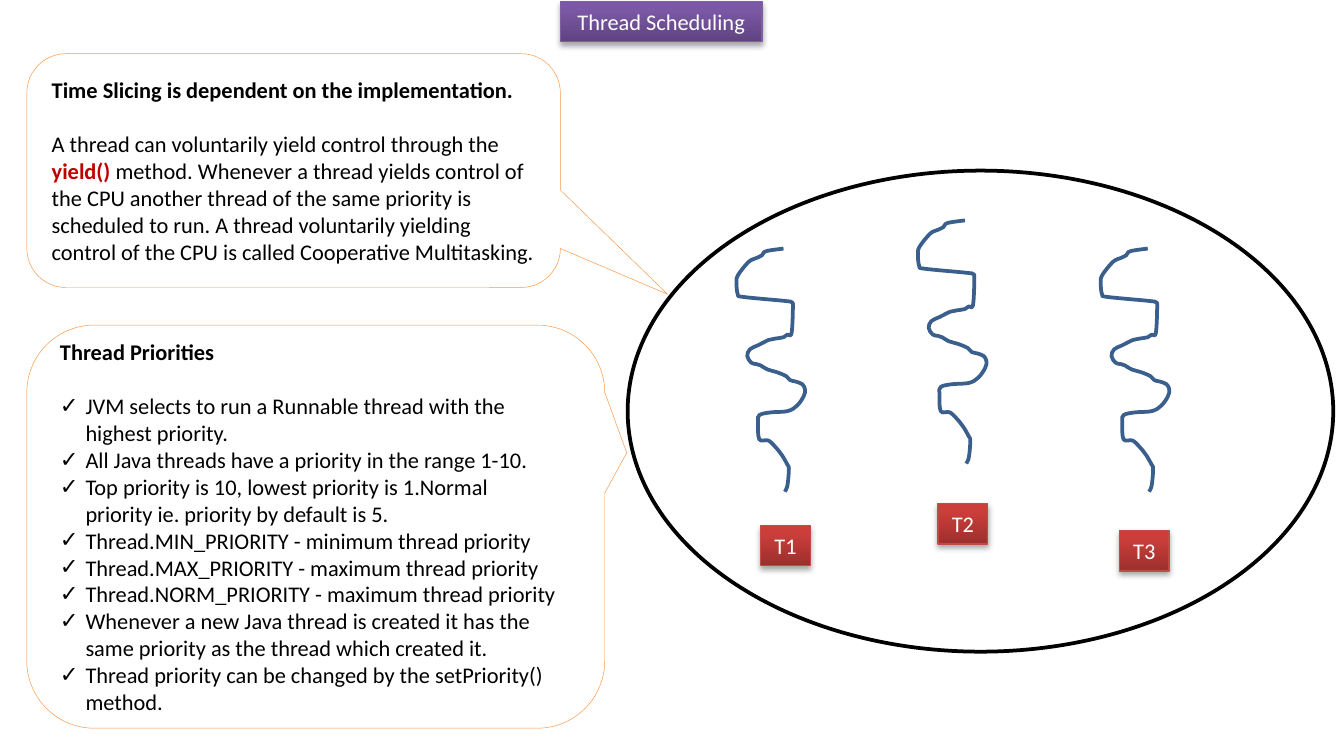
import pptx
import pptx.util
import pptx.dml.color
import pptx.enum.shapes
import pptx.enum.text
import pptx.oxml
import pptx.oxml.ns
from lxml import etree

Inches, Pt = pptx.util.Inches, pptx.util.Pt
ANCHOR = pptx.enum.text.MSO_ANCHOR.MIDDLE
SHAPE = pptx.enum.shapes.MSO_SHAPE
qn = pptx.oxml.ns.qn
NS = pptx.oxml.ns.nsdecls("a")

COLORS = {
    "paper": "FFFFFF", "ink": "000000", "keyword": "C00000",
    "callout": "F79646", "strand": "3A5F8C",
    "purple_dark": "5F4480", "purple": "7B58A6", "purple_edge": "7D60A0",
    "red_dark": "9C2F2D", "red": "CB3E3A", "red_edge": "BF4C48",
}

# One thread strand, as points it passes through, from its own top left corner
STRAND = [
    (.35, 0), (.22, .02), (.19, .05), (.15, .07), (.09, .1), (.01, .2), (0, .26),
    (.01, .34), (.05, .36), (.36, .39), (.41, .4), (.42, .43), (.41, .63),
    (.38, .64), (.35, .66), (.29, .67), (.24, .68), (.16, .72), (.1, .75),
    (.08, .8), (.11, .85), (.15, .86), (.18, .87), (.23, .9), (.3, .92),
    (.37, .95), (.4, .98), (.44, .99), (.49, 1.01), (.51, 1.05), (.5, 1.1),
    (.45, 1.17), (.38, 1.21), (.25, 1.22), (.17, 1.24), (.16, 1.29), (.17, 1.42),
    (.24, 1.43), (.31, 1.5), (.34, 1.54), (.38, 1.61), (.39, 1.64), (.38, 1.76),
    (.36, 1.81),
]
# Label, strand corner, badge corner
THREADS = [
    ("T1", (5.48, 1.85), (5.66, 3.91)),
    ("T3", (8.19, 1.85), (8.33, 3.95)),
    ("T2", (6.83, 1.64), (6.98, 3.75)),
]
PRIORITIES = [
    "JVM selects to run a Runnable thread with the highest priority.",
    "All Java threads have a priority in the range 1-10.",
    "Top priority is 10, lowest priority is 1.Normal",
    "priority ie. priority by default is 5.",
    "Thread.MIN_PRIORITY - minimum thread priority",
    "Thread.MAX_PRIORITY - maximum thread priority",
    "Thread.NORM_PRIORITY - maximum thread priority",
    "Whenever a new Java thread is created it has the same priority as the "
    "thread which created it.",
    "Thread priority can be changed by the setPriority() method.",
]
CONTINUED = PRIORITIES[3]


def rgb(name):
    return pptx.dml.color.RGBColor.from_string(COLORS[name])


def apply(target, values):
    for name, value in values.items():
        setattr(target, name, value)


class SlideStyle:
    font = {"name": "Calibri", "size": Pt(12)}
    blank_line = Pt(14.6)
    hang = 0.19

    def __init__(self, slide):
        self.slide = slide
        self.shapes = slide.shapes

    def place(self, shape, left, top, width, height):
        apply(shape, {"left": Inches(left), "top": Inches(top),
                      "width": Inches(width), "height": Inches(height)})

    def outline(self, shape, color, weight):
        shape.line.color.rgb = rgb(color)
        shape.line.width = Pt(weight)

    def paint(self, shape, fill, line, weight):
        shape.fill.solid()
        shape.fill.fore_color.rgb = rgb(fill)
        self.outline(shape, line, weight)

    def text(self, paragraph, words, color="ink", bold=False):
        run = paragraph.add_run()
        run.text = words
        apply(run.font, {**self.font, "bold": bold})
        run.font.color.rgb = rgb(color)

    def paragraph(self, frame, first=False, bullet=None, indent=0, after=0):
        paragraph = frame.paragraphs[0] if first else frame.add_paragraph()
        apply(paragraph, {"space_before": Pt(0), "space_after": after})
        properties = paragraph._p.get_or_add_pPr()
        properties.set("marL", str(Inches(indent)))
        properties.set("indent", str(-Inches(indent) if bullet else 0))
        tag = f'<a:buChar {NS} char="{bullet}"/>' if bullet else f"<a:buNone {NS}/>"
        properties.append(pptx.oxml.parse_xml(tag))
        return paragraph

    def ellipse(self, *box):
        shape = self.shapes.add_shape(SHAPE.OVAL, *map(Inches, box))
        shape.shadow.inherit = False
        self.paint(shape, "paper", "ink", 2)

    def badge(self, shape, label, hue, wrap):
        """Raised box with a vertical gradient and a soft shadow."""
        shape.fill.gradient()
        shape.fill.gradient_angle = 90
        stops = shape.fill.gradient_stops
        for stop, color, position in zip(stops, (f"{hue}_dark", hue), (0, 0.8)):
            stop.color.rgb = rgb(color)
            stop.position = position
        self.outline(shape, f"{hue}_edge", 0.75)
        shape._element.spPr.append(pptx.oxml.parse_xml(
            f'<a:effectLst {NS}><a:outerShdw blurRad="{Pt(3.1)}" dist="{Pt(1.8)}" '
            'dir="5400000" rotWithShape="0"><a:srgbClr val="000000">'
            '<a:alpha val="35000"/></a:srgbClr></a:outerShdw></a:effectLst>'))
        frame = shape.text_frame
        apply(frame, {"word_wrap": wrap, "vertical_anchor": ANCHOR,
                      "auto_size": pptx.enum.text.MSO_AUTO_SIZE.NONE})
        paragraph = self.paragraph(frame, first=True)
        paragraph.alignment = pptx.enum.text.PP_ALIGN.CENTER
        self.text(paragraph, label, "paper")

    def title(self, label, *box):
        shape = self.shapes.title
        self.place(shape, *box)
        self.badge(shape, label, "purple", True)

    def thread_badge(self, label, left, top):
        box = map(Inches, (left, top, 0.37, 0.3))
        self.badge(self.shapes.add_shape(SHAPE.RECTANGLE, *box), label, "red", False)

    def strand(self, left, top):
        points = [(Inches(left + x), Inches(top + y)) for x, y in STRAND]
        builder = self.shapes.build_freeform(*points[0])
        builder.add_line_segments(points[1:], close=False)
        shape = builder.convert_to_shape()
        shape.shadow.inherit = False
        shape.fill.background()
        self.outline(shape, "strand", 2)
        self.smooth(shape)

    def smooth(self, shape):
        """Turn each straight segment into a curve through the same points."""
        nodes = list(shape._element.iter(qn("a:pt")))
        points = [(int(node.get("x")), int(node.get("y"))) for node in nodes]
        padded = [points[0], *points, points[-1]]
        for i, node in enumerate(nodes[1:]):
            before, start, end, after = padded[i:i + 4]
            controls = ([s + (e - b) / 6 for b, s, e in zip(before, start, end)],
                        [e - (a - s) / 6 for s, e, a in zip(start, end, after)])
            segment = node.getparent()
            segment.tag = qn("a:cubicBezTo")
            for position, (x, y) in enumerate(controls):
                control = etree.Element(qn("a:pt"), x=str(round(x)), y=str(round(y)))
                segment.insert(position, control)

    def callout(self, index, box, tail):
        """Give a body placeholder the outline of a speech callout."""
        shape = self.slide.placeholders[index]
        self.place(shape, *box)
        guides = "".join(
            f'<a:gd name="adj{n}" fmla="val {round(value * 100000)}"/>'
            for n, value in enumerate((*tail, 0.167), 1))
        shape._element.spPr.append(pptx.oxml.parse_xml(
            f'<a:prstGeom {NS} prst="wedgeRoundRectCallout">'
            f"<a:avLst>{guides}</a:avLst></a:prstGeom>"))
        self.paint(shape, "paper", "callout", 0.25)
        self.shapes._spTree.append(shape._element)  # bring to front
        frame = shape.text_frame
        apply(frame, {"word_wrap": True, "vertical_anchor": ANCHOR,
                      "auto_size": pptx.enum.text.MSO_AUTO_SIZE.NONE})
        return frame

    def heading(self, frame, words):
        paragraph = self.paragraph(frame, first=True, after=self.blank_line)
        self.text(paragraph, words, bold=True)


def main():
    deck = pptx.Presentation()
    apply(deck, {"slide_width": Inches(10), "slide_height": Inches(5.5)})
    style = SlideStyle(deck.slides.add_slide(deck.slide_layouts[3]))

    # Process with its threads
    style.ellipse(4.67, 1.27, 5.25, 3.58)
    style.title("Thread Scheduling", 4.17, 0.01, 1.5, 0.3)
    for label, strand_corner, badge_corner in THREADS:
        style.strand(*strand_corner)
        style.thread_badge(label, *badge_corner)

    # Time slicing
    slicing = style.callout(1, (0.2, 0.4, 3.97, 1.74), (0.701, 0.529))
    style.heading(slicing, "Time Slicing is dependent on the implementation.")
    yielding = style.paragraph(slicing)
    style.text(yielding, "A thread can voluntarily yield control through the ")
    style.text(yielding, "yield()", "keyword", True)
    style.text(yielding, " method. Whenever a thread yields control of the CPU another "
               "thread of the same priority is scheduled to run. A thread voluntarily "
               "yielding control of the CPU is called Cooperative Multitasking.")

    # Priorities
    priorities = style.callout(2, (0.2, 2.42, 4.3, 3), (0.538, -0.183))
    style.heading(priorities, "Thread Priorities")
    for rule in PRIORITIES:
        bullet = None if rule == CONTINUED else "✓"
        style.text(style.paragraph(priorities, bullet=bullet, indent=style.hang), rule)

    deck.save("out.pptx")


if __name__ == "__main__":
    main()
